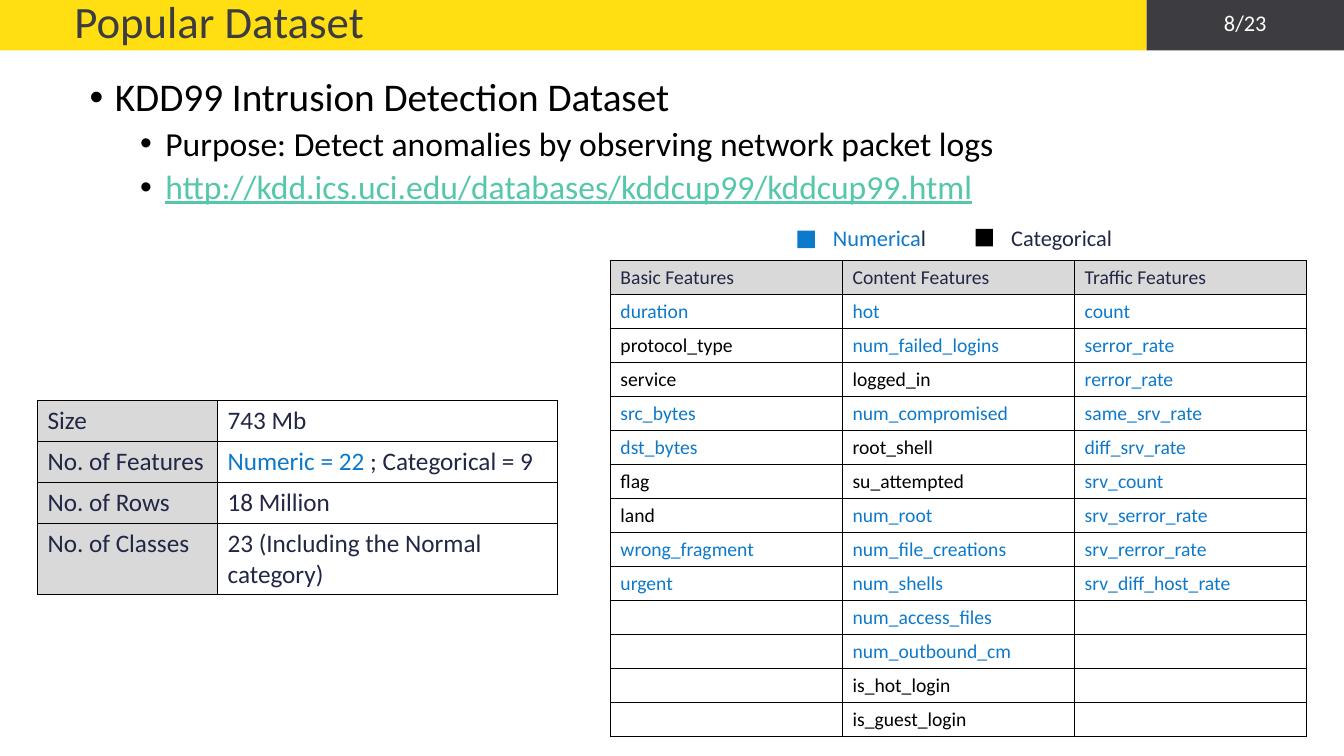
import itertools

import pptx
import pptx.dml.color
import pptx.enum.shapes
import pptx.enum.text
import pptx.oxml
import pptx.oxml.ns
import pptx.util

Pt = pptx.util.Pt
ALIGN = pptx.enum.text.PP_ALIGN
ANCHOR = pptx.enum.text.MSO_ANCHOR

COLOURS = {
    "yellow": "FFDF11", "charcoal": "3D3C40", "white": "FFFFFF", "black": "000000",
    "navy": "212745", "blue": "0D79CA", "green": "56C7AA", "grey": "D9D9D9",
}
FONT = "Calibri"

FEATURES = {
    "Basic Features": ["duration", "protocol_type", "service", "src_bytes", "dst_bytes",
                       "flag", "land", "wrong_fragment", "urgent"],
    "Content Features": ["hot", "num_failed_logins", "logged_in", "num_compromised",
                         "root_shell", "su_attempted", "num_root", "num_file_creations",
                         "num_shells", "num_access_files", "num_outbound_cm",
                         "is_hot_login", "is_guest_login"],
    "Traffic Features": ["count", "serror_rate", "rerror_rate", "same_srv_rate",
                         "diff_srv_rate", "srv_count", "srv_serror_rate",
                         "srv_rerror_rate", "srv_diff_host_rate"],
}
CATEGORICAL = {"protocol_type", "service", "flag", "land", "logged_in", "root_shell",
               "su_attempted", "is_hot_login", "is_guest_login"}

FACTS = [
    ("Size", [("743 Mb", "navy")]),
    ("No. of Features", [("Numeric = 22 ", "blue"), ("; Categorical = 9", "navy")]),
    ("No. of Rows", [("18 Million", "navy")]),
    ("No. of Classes", [("23 (Including the Normal category)", "navy")]),
]

BULLETS = [  # level, text, size, colour, underline
    (0, "KDD99 Intrusion Detection Dataset", 28, "black", None),
    (1, "Purpose: Detect anomalies by observing network packet logs", 24, "black", None),
    (1, "http://kdd.ics.uci.edu/databases/kddcup99/kddcup99.html", 24, "green", True),
]


def rgb(name):
    return pptx.dml.color.RGBColor.from_string(COLOURS[name])


def apply_format(target, values):
    for name, value in values.items():
        setattr(target, name, value)


def add_spans(para, spans, size, underline=None):
    for text, colour in spans:
        span = para.add_run()
        span.text = text
        apply_format(span.font, {"name": FONT, "size": Pt(size), "underline": underline})
        span.font.color.rgb = rgb(colour)


def add_rectangle(page, box, colour):
    shape = page.shapes.add_shape(pptx.enum.shapes.MSO_SHAPE.RECTANGLE, *map(Pt, box))
    shape.shadow.inherit = False
    shape.fill.solid()
    shape.fill.fore_color.rgb = rgb(colour)
    shape.line.fill.background()


def add_text_frame(page, box, anchor=ANCHOR.TOP):
    frame = page.shapes.add_textbox(*map(Pt, box)).text_frame
    apply_format(frame, {"word_wrap": True, "vertical_anchor": anchor})
    return frame


def add_label(page, box, spans, size, para_format, anchor=ANCHOR.MIDDLE):
    para = add_text_frame(page, box, anchor).paragraphs[0]
    apply_format(para, para_format)
    add_spans(para, spans, size)


def add_header(page, box, title, number):
    left, top, width, height = box
    split = left + 819
    rest = left + width - split
    add_rectangle(page, (left, top, split - left, height), "yellow")
    add_rectangle(page, (split, top, rest, height), "charcoal")
    add_label(page, (left + 46, top, 762, height - 1.5), [(title, "charcoal")], 32,
              {"line_spacing": 0.9})
    add_label(page, (split, top + 3, rest, 29), [(number, "white")], 16,
              {"alignment": ALIGN.CENTER}, ANCHOR.TOP)


def add_bullets(page, box):
    frame = add_text_frame(page, box)
    for index, (level, text, size, colour, underline) in enumerate(BULLETS):
        para = frame.add_paragraph() if index else frame.paragraphs[0]
        apply_format(para, {"level": level, "line_spacing": 0.9,
                            "space_before": Pt(5 if level else 10)})
        add_spans(para, [(text, colour)], size, underline)
        properties = para._p.get_or_add_pPr()
        properties.set("marL", str(Pt(18 + 36 * level)))
        properties.set("indent", str(Pt(-18)))
        namespace = pptx.oxml.ns.nsdecls("a")
        for markup in (
            f'<a:buClr {namespace}><a:srgbClr val="{COLOURS["black"]}"/></a:buClr>',
            f'<a:buFont {namespace} typeface="Arial"/>',
            f'<a:buChar {namespace} char="•"/>',
        ):
            properties.append(pptx.oxml.parse_xml(markup))


def fill_cell(cell, spans, size, fill):
    para = cell.text_frame.paragraphs[0]
    add_spans(para, spans, size)
    if not spans:  # an empty cell keeps the row height of its text size
        para._p.get_or_add_endParaRPr().set("sz", str(size * 100))
    properties = cell._tc.get_or_add_tcPr()
    for side in ("lnL", "lnR", "lnT", "lnB"):
        properties.append(pptx.oxml.parse_xml(
            f'<a:{side} {pptx.oxml.ns.nsdecls("a")} w="{Pt(1)}"><a:solidFill>'
            f'<a:srgbClr val="{COLOURS["black"]}"/></a:solidFill></a:{side}>'))
    cell.fill.solid()
    cell.fill.fore_color.rgb = rgb(fill)


def add_grid(page, origin, widths, heights, cells, size):
    """Place a bordered table; cells holds rows of (spans, fill)."""
    box = (*origin, sum(widths), sum(heights))
    table = page.shapes.add_table(len(heights), len(widths), *map(Pt, box)).table
    apply_format(table, {"first_row": False, "horz_banding": False})
    for column, width in zip(table.columns, widths):
        column.width = Pt(width)
    for row, height, contents in zip(table.rows, heights, cells):
        row.height = Pt(height)
        for cell, (spans, fill) in zip(row.cells, contents):
            fill_cell(cell, spans, size, fill)


def add_facts_table(page, box):
    left, top, width, height = box
    cells = [[([(name, "navy")], "grey"), (spans, "white")] for name, spans in FACTS]
    row = 29.3
    add_grid(page, (left, top), [128.6, width - 128.6],
             [row] * 3 + [height - 3 * row], cells, 18)


def add_features_table(page, box):
    left, top, width, height = box
    cells = [[([(name, "navy")], "grey") for name in FEATURES]]
    for names in itertools.zip_longest(*FEATURES.values()):
        cells.append([([(name, "black" if name in CATEGORICAL else "blue")] if name else [],
                       "white") for name in names])
    count = len(cells)
    add_grid(page, (left, top), [width / 3] * 3, [height / count] * count, cells, 14)


def add_legend(page, box):
    left, top, width, height = box
    entries = [([("Numerica", "blue"), ("l", "navy")], "blue", 6.3),
               ([("Categorical", "navy")], "black", 5)]
    for index, (spans, colour, drop) in enumerate(entries):
        start = left + index * width / 2
        add_rectangle(page, (start, top + drop, 12.5, 12.5), colour)
        add_label(page, (start + 18.4, top, 119.5, height), spans, 16,
                  {"line_spacing": 0.9})


def main():
    deck = pptx.Presentation()
    apply_format(deck, {"slide_width": Pt(960), "slide_height": Pt(540)})
    page = deck.slides.add_slide(deck.slide_layouts[6])
    add_header(page, (0, 0, 960, 36), "Popular Dataset", "8/23")
    add_bullets(page, (57, 52, 852, 439))
    add_facts_table(page, (26.8, 286, 371.4, 139))
    add_features_table(page, (436, 186.2, 497.4, 340.2))
    add_legend(page, (569.5, 158.5, 254.6, 25))
    deck.save("out.pptx")


if __name__ == "__main__":
    main()
